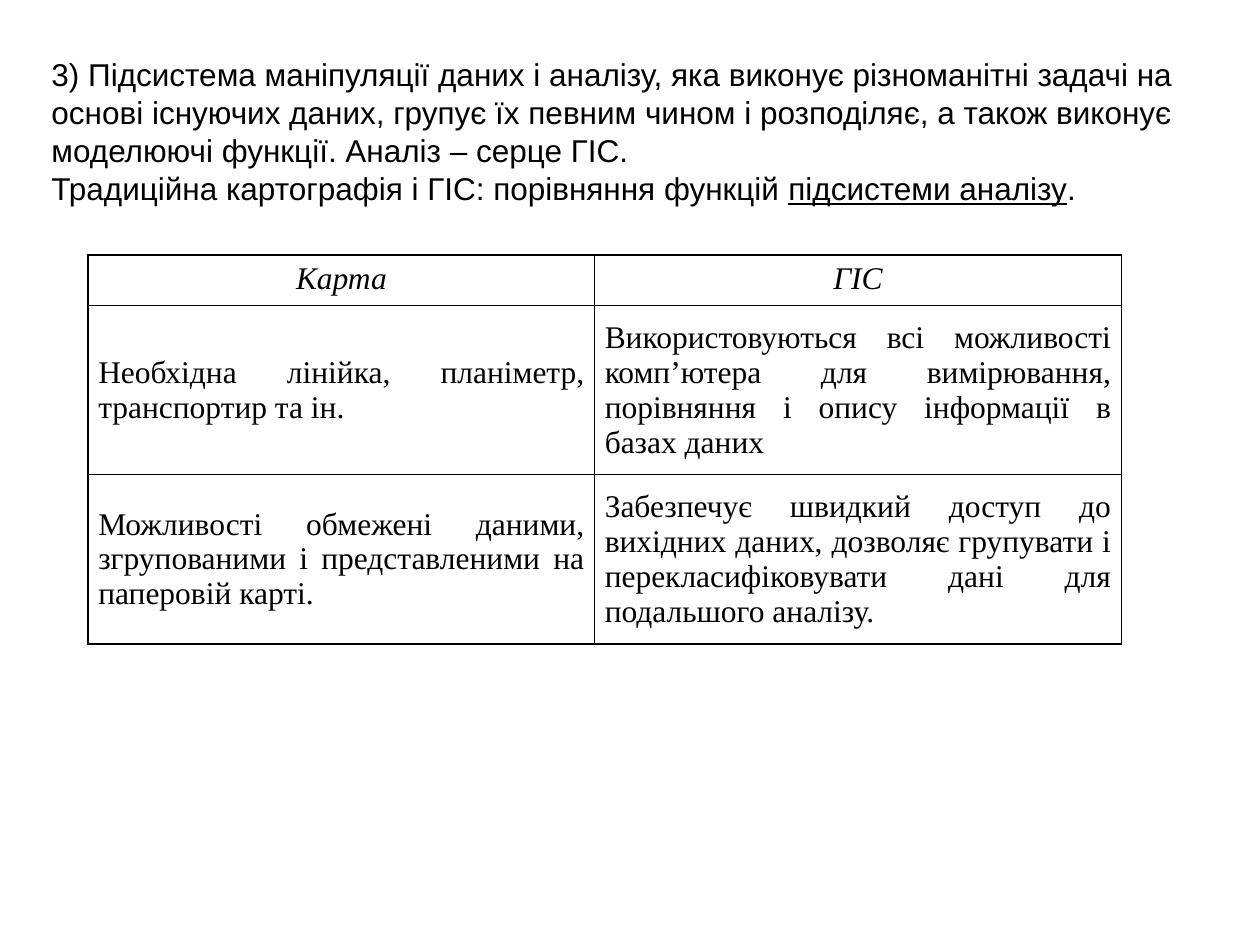
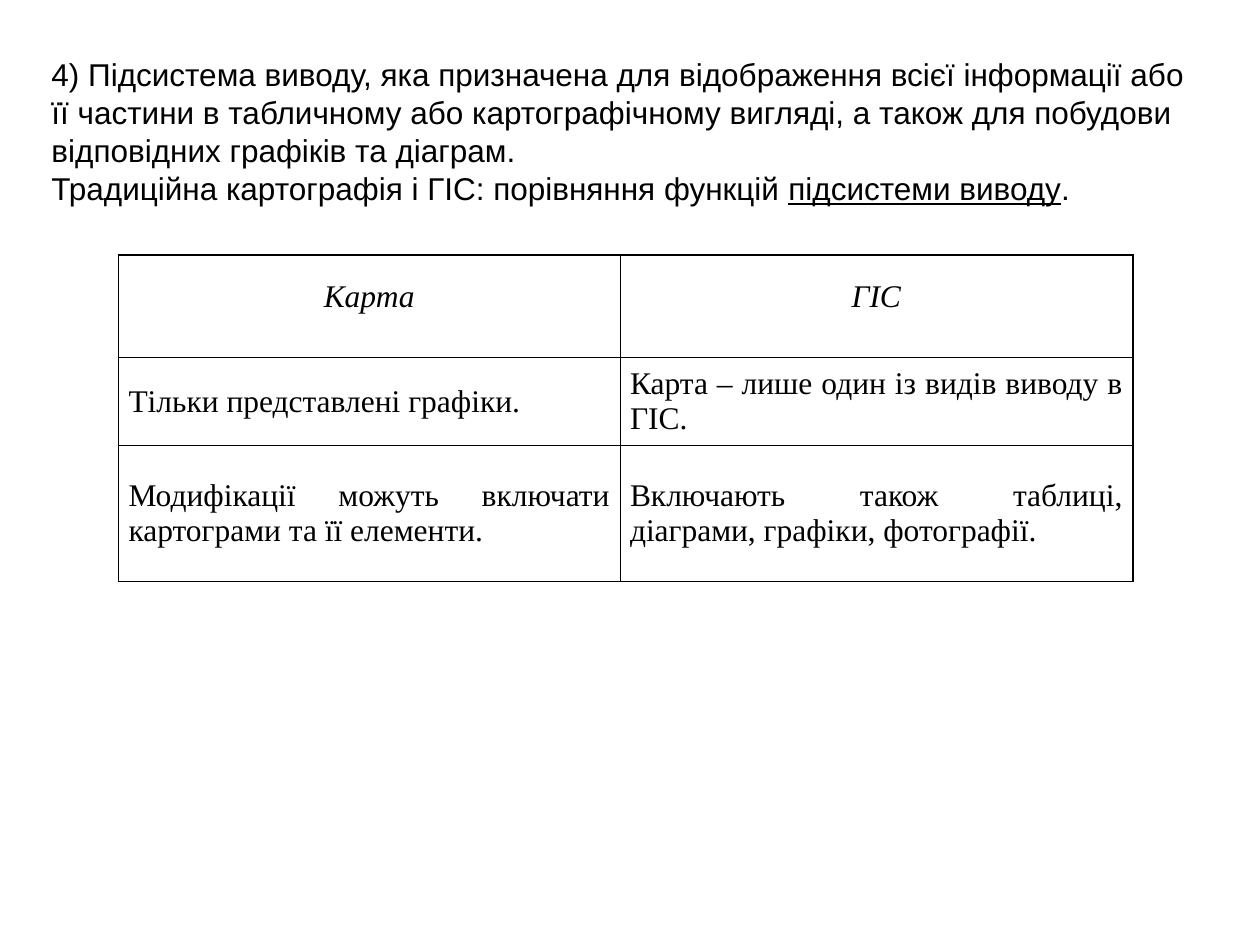
from lxml.etree import SubElement
from pptx import Presentation
from pptx.dml.color import RGBColor
from pptx.enum.text import MSO_ANCHOR, PP_ALIGN
from pptx.oxml.ns import qn
from pptx.util import Inches, Pt

INK = RGBColor(0x00, 0x00, 0x00)
SLIDE_WIDTH, SLIDE_HEIGHT = Inches(10), Inches(7.5)
OUTER_LINE, INNER_LINE = Pt(1.08), Pt(0.45)
BLANK_LAYOUT = 6

INTRO_FORMAT = {"name": "Arial", "size": Pt(18)}
HEADER_FORMAT = {"name": "Times New Roman", "size": Pt(18), "italic": True}
BODY_FORMAT = {"name": "Times New Roman", "size": Pt(18), "italic": False}

# Shares of the slide's width and height: left, top, width, height
INTRO_BOX = (0.031, 0.052, 0.925, 0.177)
TABLE_TOP = 0.27
COMPARISON_LEAD = "Традиційна картографія і ГІС: порівняння функцій "
TABLE_HEADER = ("Карта", "ГІС")

SUBSYSTEMS = [
    {
        "intro": "3) Підсистема маніпуляції даних і аналізу, яка виконує різноманітні "
                 "задачі на основі існуючих даних, групує їх певним чином і розподіляє, "
                 "а також виконує моделюючі функції. Аналіз – серце ГІС.",
        "subsystem": "підсистеми аналізу",
        "left": 0.07,
        "columns": (0.402, 0.418),
        "rows": (0.044, 0.179, 0.179),
        "header_spacing": 1.0,
        "comparison": [
            ("Необхідна лінійка, планіметр, транспортир та ін.",
             "Використовуються всі можливості комп’ютера для вимірювання, "
             "порівняння і опису інформації в базах даних"),
            ("Можливості обмежені даними, згрупованими і представленими "
             "на паперовій карті.",
             "Забезпечує швидкий доступ до вихідних даних, дозволяє групувати "
             "і перекласифіковувати дані для подальшого аналізу."),
        ],
    },
    {
        "intro": "4) Підсистема виводу, яка призначена для відображення всієї інформації "
                 "або її частини в табличному або картографічному вигляді, а також для "
                 "побудови відповідних графіків та діаграм.",
        "subsystem": "підсистеми виводу",
        "left": 0.094,
        "columns": (0.398, 0.407),
        "rows": (0.108, 0.08, 0.144),
        "header_spacing": 1.5,
        "comparison": [
            ("Тільки представлені графіки.",
             "Карта – лише один із видів виводу в ГІС."),
            ("Модифікації можуть включати картограми та її елементи.",
             "Включають також таблиці, діаграми, графіки, фотографії."),
        ],
    },
]


def across(share):
    return int(SLIDE_WIDTH * share)


def down(share):
    return int(SLIDE_HEIGHT * share)


def add_run(paragraph, text, font_format, underline=None):
    run = paragraph.add_run()
    run.text = text
    for name, value in font_format.items():
        setattr(run.font, name, value)
    run.font.underline = underline
    run.font.color.rgb = INK


def add_intro(slide, box, intro, subsystem):
    """Description of the subsystem and the lead-in to its table."""
    left, top, width, height = box
    text_box = slide.shapes.add_textbox(across(left), down(top), across(width), down(height))
    frame = text_box.text_frame
    frame.word_wrap = True
    add_run(frame.paragraphs[0], intro, INTRO_FORMAT)
    lead = frame.add_paragraph()
    add_run(lead, COMPARISON_LEAD, INTRO_FORMAT)
    add_run(lead, subsystem, INTRO_FORMAT, underline=True)
    add_run(lead, ".", INTRO_FORMAT)


def set_borders(cell, outer_sides):
    """Thick lines on the table's edge, thin lines inside."""
    properties = cell._tc.get_or_add_tcPr()
    for position, (side, is_outer) in enumerate(outer_sides.items()):
        line = properties.makeelement(qn(f"a:{side}"), {
            "w": str(OUTER_LINE if is_outer else INNER_LINE)})
        fill = SubElement(line, qn("a:solidFill"))
        SubElement(fill, qn("a:srgbClr"), val=str(INK))
        properties.insert(position, line)


def fill_cell(cell, text, is_header, header_spacing):
    cell.fill.background()
    cell.margin_left = cell.margin_right = Inches(0.08)
    cell.margin_top = cell.margin_bottom = Inches(0.05)
    cell.vertical_anchor = MSO_ANCHOR.TOP if is_header else MSO_ANCHOR.MIDDLE
    paragraph = cell.text_frame.paragraphs[0]
    paragraph.alignment = PP_ALIGN.CENTER if is_header else PP_ALIGN.JUSTIFY
    if is_header:
        paragraph.line_spacing = header_spacing
    add_run(paragraph, text, HEADER_FORMAT if is_header else BODY_FORMAT)


def add_comparison(slide, left, top, columns, rows, texts, header_spacing):
    """Two-column table: paper map against GIS."""
    table = slide.shapes.add_table(
        len(rows), len(columns), across(left), down(top),
        across(sum(columns)), down(sum(rows))).table
    table.first_row = table.horz_banding = False
    for column, share in zip(table.columns, columns):
        column.width = across(share)
    for row, share in zip(table.rows, rows):
        row.height = down(share)

    for row_index, row_texts in enumerate(texts):
        for column_index, text in enumerate(row_texts):
            cell = table.cell(row_index, column_index)
            fill_cell(cell, text, row_index == 0, header_spacing)
            set_borders(cell, {
                "lnL": column_index == 0,
                "lnR": column_index == len(columns) - 1,
                "lnT": row_index == 0,
                "lnB": row_index == len(rows) - 1,
            })


def add_subsystem_slide(presentation, content):
    slide = presentation.slides.add_slide(presentation.slide_layouts[BLANK_LAYOUT])
    add_intro(slide, INTRO_BOX, content["intro"], content["subsystem"])
    add_comparison(slide, content["left"], TABLE_TOP, content["columns"], content["rows"],
                   [TABLE_HEADER, *content["comparison"]], content["header_spacing"])


def main():
    presentation = Presentation()
    presentation.slide_width, presentation.slide_height = SLIDE_WIDTH, SLIDE_HEIGHT
    for content in SUBSYSTEMS:
        add_subsystem_slide(presentation, content)
    presentation.save("out.pptx")


if __name__ == "__main__":
    main()
